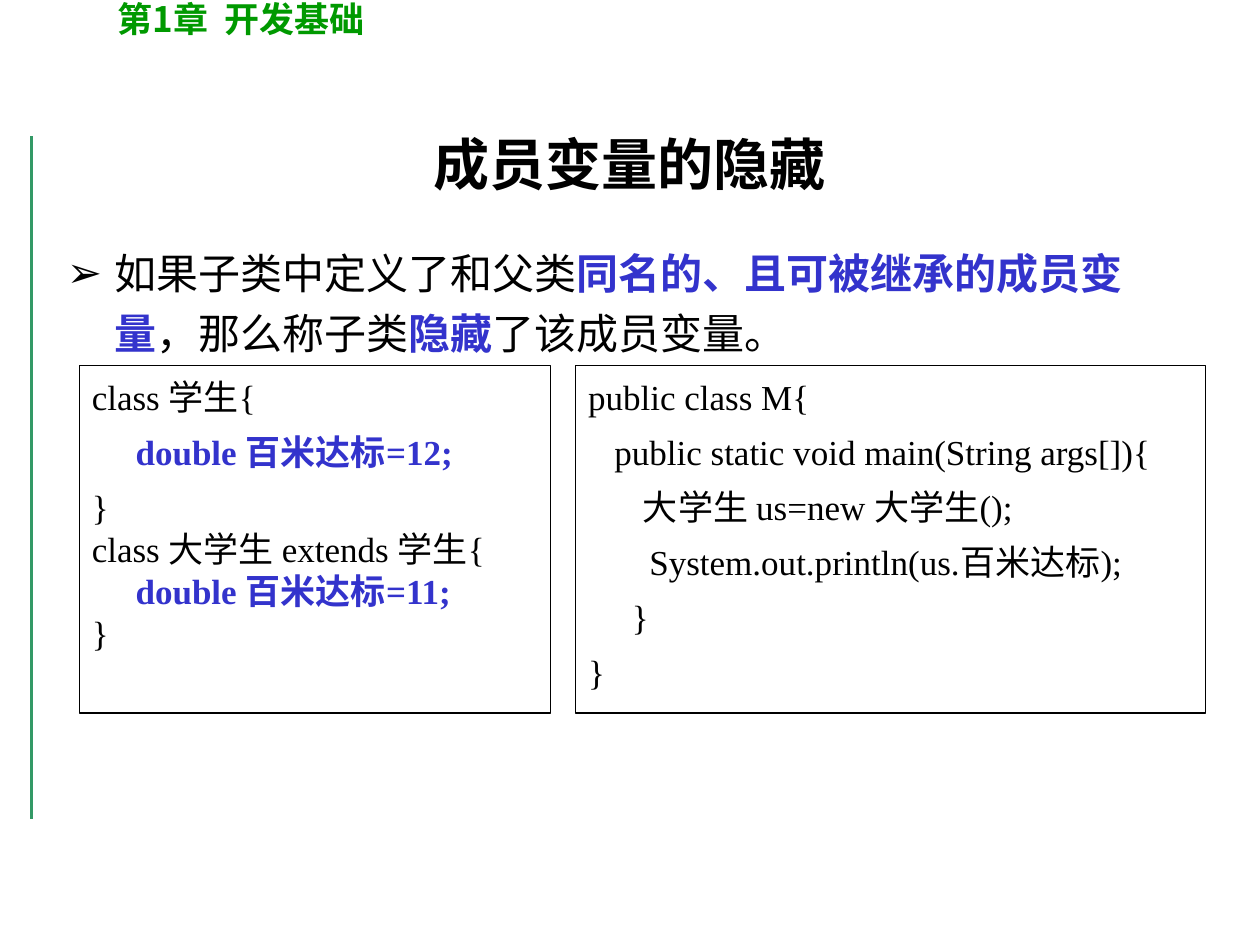
from lxml.etree import SubElement
from pptx import Presentation
from pptx.dml.color import RGBColor
from pptx.enum.shapes import MSO_CONNECTOR as Connector, MSO_SHAPE as Shape
from pptx.enum.text import MSO_ANCHOR as Anchor, MSO_AUTO_SIZE as AutoSize, PP_ALIGN as Align
from pptx.oxml.ns import qn
from pptx.util import Pt

BLACK = RGBColor(0, 0, 0)
BLUE = RGBColor(0x33, 0x33, 0xCC)
GREEN = RGBColor(0, 0x99, 0)
RULE_GREEN = RGBColor(0x33, 0x99, 0x66)
SERIF, SANS = "Times New Roman", "Noto Sans CJK SC"

CHAPTER = "第1章  开发基础"
TITLE = "成员变量的隐藏"
# (text, emphasised)
DEFINITION = [
    ("如果子类中定义了和父类", False),
    ("同名的、且可被继承的成员变量", True),
    ("，那么称子类", False),
    ("隐藏", True),
    ("了该成员变量。", False),
]
# (code, emphasised, loosely spaced)
CLASSES = [
    ("class 学生{", False, True),
    ("     double 百米达标=12;", True, True),
    ("}", False, True),
    ("class 大学生 extends 学生{", False, False),
    ("     double 百米达标=11;", True, False),
    ("}", False, False),
]
MAIN = [(code, False, True) for code in (
    "public class M{",
    "   public static void main(String args[]){",
    "       大学生 us=new 大学生();",
    "       System.out.println(us.百米达标);",
    "     }",
    "}",
)]
CODE_TOP, CODE_HEIGHT = 208.8, 198.7
CODE_BOXES = [(45.4, 269.3, CLASSES), (329, 360, MAIN)]  # left, width, lines


def place(shape, left, top, width, height):
    shape.left, shape.top, shape.width, shape.height = map(Pt, (left, top, width, height))


def style(font, name, size, color, bold=False):
    font.name, font.size, font.bold = name, Pt(size), bold
    font.color.rgb = color


def add_rule(page):
    rule = page.shapes.add_connector(Connector.STRAIGHT, Pt(18), Pt(78), Pt(18), Pt(468))
    rule.line.color.rgb = RULE_GREEN
    rule.line.width = Pt(2.25)
    SubElement(rule._element.spPr, qn("a:effectLst"))


def add_chapter(page):
    box = page.shapes.add_textbox(Pt(60), Pt(-5), Pt(414), Pt(32))
    box.text_frame.word_wrap = True
    para = box.text_frame.paragraphs[0]
    para.text = CHAPTER
    style(para.font, SANS, 20, GREEN, True)


def fill_title(title):
    place(title, 54, 48, 612, 90)
    title.text_frame.vertical_anchor = Anchor.MIDDLE
    para = title.text_frame.paragraphs[0]
    para.text = TITLE
    para.alignment = Align.CENTER
    style(para.font, SERIF, 32, BLACK, True)


def fill_definition(body):
    place(body, 31, 132, 629, 76)
    body.text_frame.auto_size = AutoSize.NONE
    para = body.text_frame.paragraphs[0]
    para.line_spacing, para.space_before = 1.2, Pt(0)
    props = para._p.get_or_add_pPr()
    props.set("marL", str(Pt(27)))
    props.set("indent", str(Pt(-27)))
    SubElement(props, qn("a:buChar")).set("char", "➢")
    style(para.font, SANS, 24, BLACK)
    for text, strong in DEFINITION:
        span = para.add_run()
        span.text = text
        if strong:
            span.font.bold = True
            span.font.color.rgb = BLUE


def add_code(page, left, width, lines):
    box = page.shapes.add_shape(Shape.RECTANGLE, 0, 0, 0, 0)
    place(box, left, CODE_TOP, width, CODE_HEIGHT)
    box.shadow.inherit = False
    box.fill.background()
    box.line.color.rgb = BLACK
    box.line.width = Pt(0.75)
    frame = box.text_frame
    frame.word_wrap = True
    frame.vertical_anchor = Anchor.TOP
    for number, (code, strong, loose) in enumerate(lines):
        para = frame.add_paragraph() if number else frame.paragraphs[0]
        para.text = code
        para.alignment = Align.LEFT
        para.line_spacing = 1.1 if loose else 1.0
        para.space_before = Pt(5 if loose and number else 0)
        style(para.font, SERIF, 20, BLUE if strong else BLACK, strong)


def main():
    deck = Presentation()
    deck.slide_width, deck.slide_height = Pt(720), Pt(540)
    page = deck.slides.add_slide(deck.slide_layouts[1])
    add_rule(page)
    add_chapter(page)
    fill_title(page.shapes.title)
    fill_definition(page.placeholders[1])
    for left, width, lines in CODE_BOXES:
        add_code(page, left, width, lines)
    deck.save("out.pptx")


if __name__ == "__main__":
    main()
